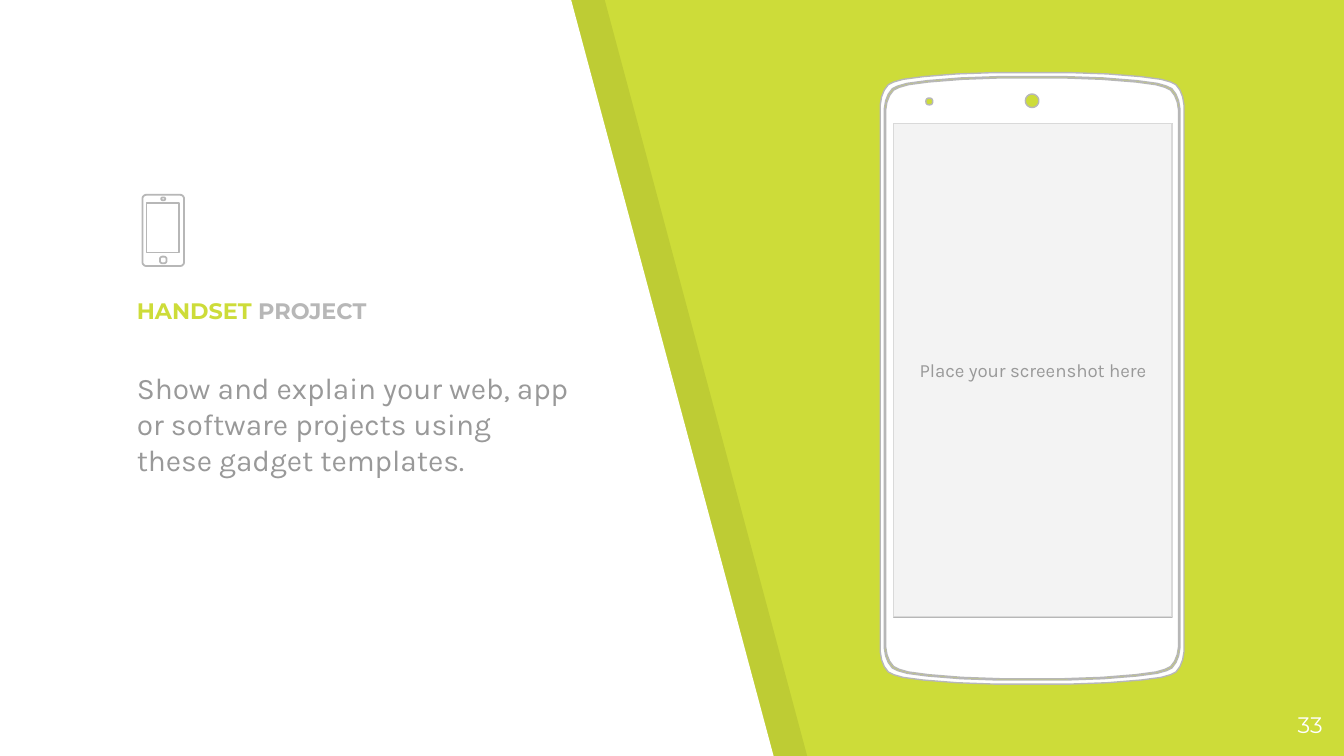
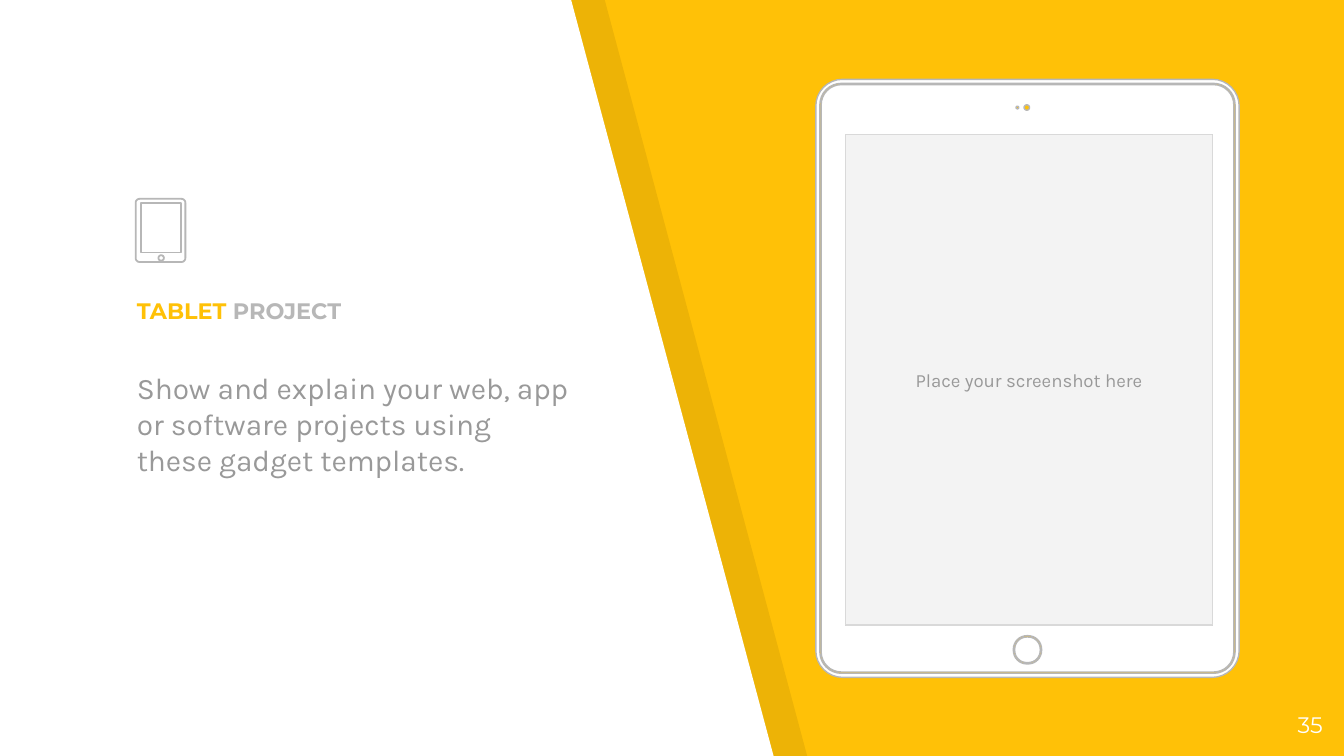
from math import cos, pi, sin

from lxml.etree import SubElement
from pptx import Presentation
from pptx.dml.color import RGBColor
from pptx.enum.shapes import MSO_SHAPE
from pptx.enum.text import MSO_ANCHOR, PP_ALIGN
from pptx.oxml.ns import qn
from pptx.util import Inches, Pt

COLORS = {
    "lime": "CDDC39",
    "amber": "FFC107",
    "white": "FFFFFF",
    "black": "000000",
    "outline": "B7B7B7",
    "screen": "F3F3F3",
    "screen_line": "D9D9D9",
    "body": "999999",
}
TITLE = {"name": "Montserrat", "size": Pt(12), "bold": True}
BODY = {"name": "Karla", "size": Pt(16)}
HINT = {"name": "Karla", "size": Pt(10)}
NUMBER = {"name": "Montserrat", "size": Pt(12)}

BAND_SHIFT = 0.25
TEXT_BOX = (0.92, 1.98, 3.44, 3.14)
NUMBER_BOX = (9.34, 5.19, 0.6, 0.43)


def arc(radius, steps=8):
    """Corner points from the left side to the top, measured from the box corner."""
    angles = [pi / 2 * i / steps for i in range(steps + 1)]
    return [(radius * (1 - cos(a)), radius * (1 - sin(a))) for a in angles]


SQUARE = [(0, 0)]
BOWED = [(0, 0.24), (0.01, 0.18), (0.03, 0.13), (0.06, 0.09), (0.1, 0.07),
         (0.17, 0.05), (0.32, 0.03), (0.57, 0.01), (0.85, 0), (1.08, 0)]

# Contours are (box relative to the gadget, corner points).
PHONE = {
    "box": (6.55, 0.54, 2.26, 4.55),
    "corners": (BOWED, BOWED, BOWED),
    "screen": (0.1, 0.38, 2.07, 3.67),
    "details": [((0.34, 0.19, 0.05, 0.05), arc(0.02)),
                ((1.08, 0.16, 0.1, 0.1), arc(0.05))],
}
TABLET = {
    "box": (6.07, 0.59, 3.15, 4.45),
    "corners": (arc(0.2), arc(0.16), arc(0.15)),
    "screen": (0.22, 0.41, 2.73, 3.65),
    "details": [((1.49, 0.2, 0.02, 0.02), arc(0.01)),
                ((1.55, 0.19, 0.04, 0.04), arc(0.02)),
                ((1.47, 4.14, 0.21, 0.21), arc(0.1)),
                ((1.48, 4.15, 0.19, 0.19), arc(0.09))],
}
PHONE_ICON = {
    "box": (1.06, 1.45, 0.31, 0.53),
    "contours": [((0, 0, 0.31, 0.53), arc(0.03)),
                 ((0.03, 0.06, 0.24, 0.37), SQUARE),
                 ((0.14, 0.02, 0.03, 0.02), arc(0.01)),
                 ((0.13, 0.46, 0.05, 0.05), arc(0.02))],
}
TABLET_ICON = {
    "box": (1.01, 1.48, 0.37, 0.47),
    "contours": [((0, 0, 0.37, 0.47), arc(0.03)),
                 ((0.04, 0.03, 0.3, 0.37), SQUARE),
                 ((0.17, 0.42, 0.04, 0.04), arc(0.02))],
}
PROJECTS = [
    {"accent": "lime", "name": "HANDSET", "number": "33",
     "gadget": PHONE, "icon": PHONE_ICON},
    {"accent": "amber", "name": "TABLET", "number": "35",
     "gadget": TABLET, "icon": TABLET_ICON},
]


def rgb(key):
    return RGBColor.from_string(COLORS[key])


def style(sp, fill=None, line=None, width=0.75):
    sp.shadow.inherit = False
    if fill:
        sp.fill.solid()
        sp.fill.fore_color.rgb = rgb(fill)
    else:
        sp.fill.background()
    if line:
        sp.line.color.rgb = rgb(line)
        sp.line.width = Pt(width)
    else:
        sp.line.fill.background()


def outline(s, contours):
    """Build one freeform from lists of points in inches."""
    paths = [[(Inches(x), Inches(y)) for x, y in points] for points in contours]
    builder = s.shapes.build_freeform(*paths[0][0], scale=1)
    for i, points in enumerate(paths):
        if i:
            builder.move_to(*points[0])
        builder.add_line_segments(points[1:], close=True)
    return builder.convert_to_shape()


def mirrored(origin, box, corner):
    """Mirror corner points into all four corners of a box, clockwise."""
    x, y, w, h = box
    left, top = origin[0] + x, origin[1] + y
    back = corner[::-1]
    return ([(left + dx, top + dy) for dx, dy in corner]
            + [(left + w - dx, top + dy) for dx, dy in back]
            + [(left + w - dx, top + h - dy) for dx, dy in corner]
            + [(left + dx, top + h - dy) for dx, dy in back])


def write(sp, runs, font, anchor=MSO_ANCHOR.TOP, align=PP_ALIGN.LEFT, before=0):
    tf = sp.text_frame
    frame = {"word_wrap": True, "vertical_anchor": anchor}
    frame.update({f"margin_{side}": Inches(0.1)
                  for side in ("left", "top", "right", "bottom")})
    for name, value in frame.items():
        setattr(tf, name, value)
    p = tf.paragraphs[0]
    for name, value in {"alignment": align, "space_before": Pt(before)}.items():
        setattr(p, name, value)
    for text, color in runs:
        r = p.add_run()
        r.text = text
        for name, value in font.items():
            setattr(r.font, name, value)
        r.font.color.rgb = rgb(color)


def text_box(s, box, runs, font, **layout):
    sp = s.shapes.add_textbox(*map(Inches, box))
    write(sp, runs, font, **layout)


def slanted_panels(s):
    for shift, fill in ((BAND_SHIFT, "black"), (0, "white")):
        points = [(0, -0.01), (-0.01, 5.64), (5.76, 5.64), (4.25, 0)]
        sp = outline(s, [[(x + shift, y) for x, y in points]])
        style(sp, fill)
        if shift:
            color = sp.fill._xPr.find(qn("a:solidFill"))[0]
            SubElement(color, qn("a:alpha"), val="7000")


def gadget(s, box, corners, screen, details):
    left, top, w, h = box
    rims = [((d, d, w - 2 * d, h - 2 * d), corner)
            for d, corner in zip((0, 0.03, 0.04), corners)]
    contours = rims + [(screen, SQUARE)] + details
    sp = outline(s, [mirrored(box, *contour) for contour in contours])
    style(sp, "white", "outline")

    x, y, sw, sh = screen
    sp = s.shapes.add_shape(MSO_SHAPE.RECTANGLE,
                            *map(Inches, (left + x, top + y, sw, sh)))
    style(sp, "screen", "screen_line")
    write(sp, [("Place your screenshot here", "body")], HINT,
          anchor=MSO_ANCHOR.MIDDLE, align=PP_ALIGN.CENTER)


def icon(s, box, contours):
    sp = outline(s, [mirrored(box, *contour) for contour in contours])
    style(sp, line="outline", width=0.96)


def description(s, box, name, accent):
    left, top, w, h = box
    text_box(s, (left, top, w, 0.53),
             [(name, accent), (" PROJECT", "outline")], TITLE,
             anchor=MSO_ANCHOR.BOTTOM)
    text_box(s, (left, top + 0.67, w, h - 0.67),
             [("Show and explain your web, app or software projects "
               "using these gadget templates.", "body")], BODY, before=6)


def project_slide(prs, project):
    s = prs.slides.add_slide(prs.slide_layouts[6])
    s.background.fill.solid()
    s.background.fill.fore_color.rgb = rgb(project["accent"])
    slanted_panels(s)
    gadget(s, **project["gadget"])
    description(s, TEXT_BOX, project["name"], project["accent"])
    icon(s, **project["icon"])
    text_box(s, NUMBER_BOX, [(project["number"], "white")], NUMBER,
             align=PP_ALIGN.RIGHT)


def main():
    prs = Presentation()
    prs.slide_width = Inches(10)
    prs.slide_height = prs.slide_width * 9 // 16
    for project in PROJECTS:
        project_slide(prs, project)
    prs.save("out.pptx")


if __name__ == "__main__":
    main()
